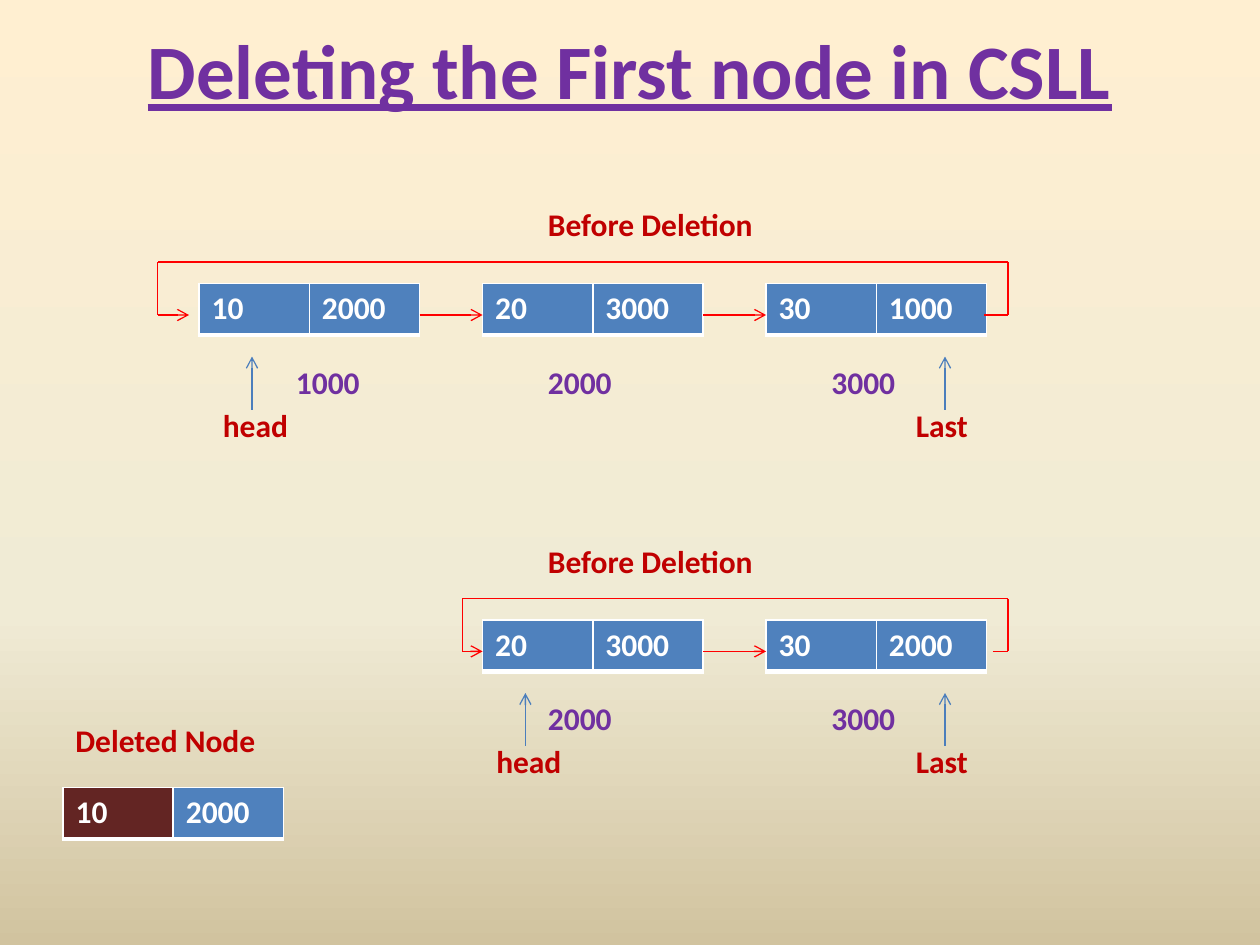
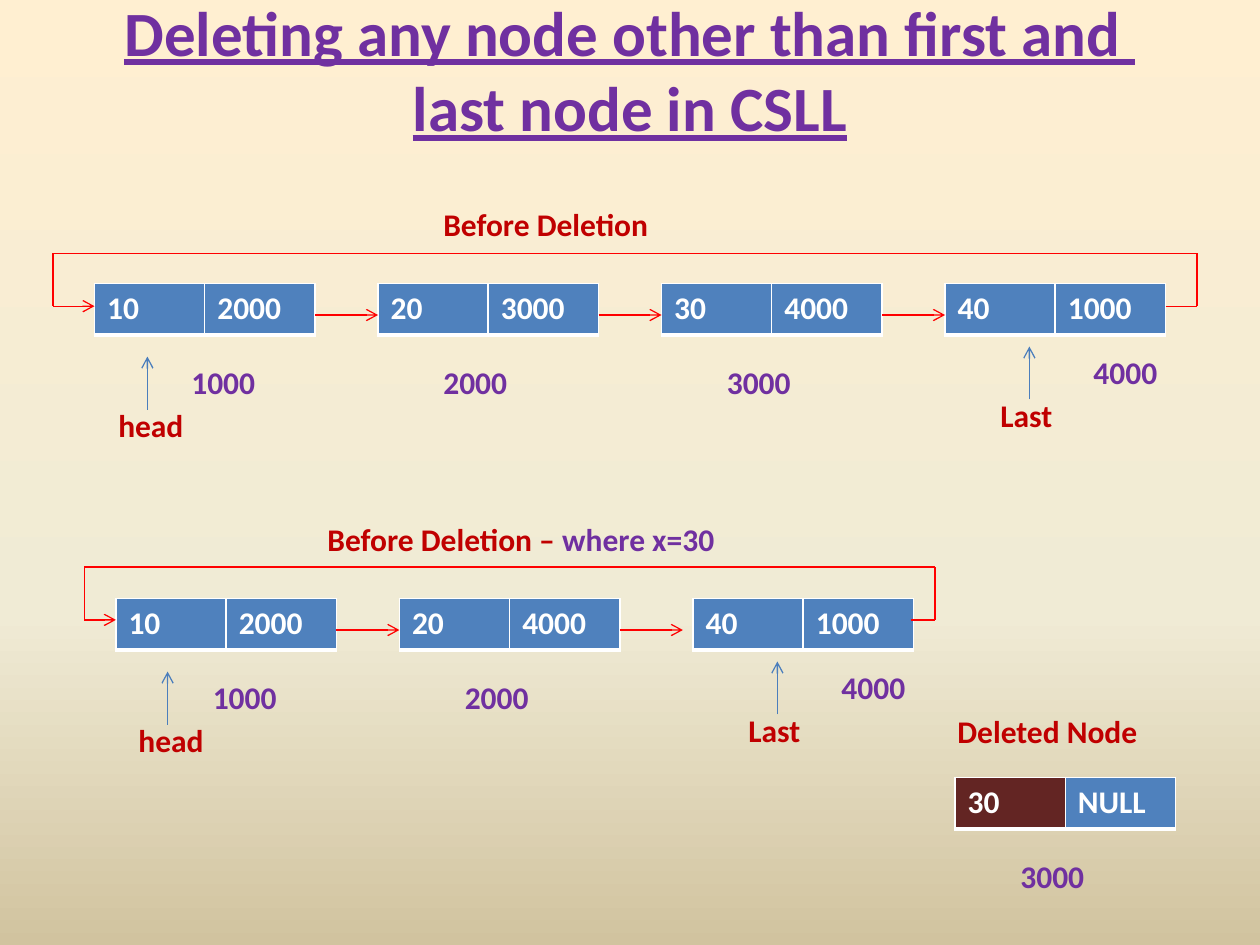
from lxml import etree
from pptx import Presentation
from pptx.dml.color import RGBColor
from pptx.enum import text
from pptx.oxml import ns
from pptx.util import Inches, Pt

FONT = "Calibri"
PURPLE, CRIMSON, WHITE = "7030A0", "C00000", "FFFFFF"
NODE_BLUE, DELETED_BROWN = "4F81BD", "632523"
LINK_RED, POINTER_BLUE = "FF0000", "4B7EBC"
BACKGROUND_STOPS = [(0, "FFEFD1"), (65, "F0EBD5"), (100, "D1C39F")]

NODE_WIDTH, NODE_HEIGHT = 1.75, 0.41
LINK_DROP, LINK_LENGTH = 0.25, 0.5
POINTER_LENGTH = LOOP_DROP = 0.42
LABEL_WIDTH, LABEL_HEIGHT = 0.92, 0.4

# node: left, data, next, address, address offset (right, down)
# pointer: name, x, arrow tip below the node top
# loop: left, top, right, arrow end, line start
SLIDES = [
    {
        "title": "Deleting the First node in CSLL",
        "title_size": 44,
        "lists": [
            {
                "caption": [("Before Deletion", CRIMSON)],
                "caption_at": (4.25, 1.58, 2.25),
                "top": 2.25,
                "nodes": [(1.58, "10", "2000", "1000", (0.67, 0.58)),
                          (3.83, "20", "3000", "2000", (0.42, 0.58)),
                          (6.08, "30", "1000", "3000", (0.42, 0.58))],
                "pointers": [("head", 2, 0.58), ("Last", 7.5, 0.58)],
                "loop": (1.25, 2.08, 8, 1.5, 7.81),
            },
            {
                "caption": [("Before Deletion", CRIMSON)],
                "caption_at": (4.25, 4.25, 2.25),
                "top": 4.92,
                "nodes": [(3.83, "20", "3000", "2000", (0.42, 0.58)),
                          (6.08, "30", "2000", "3000", (0.42, 0.58))],
                "pointers": [("head", 4.17, 0.58), ("Last", 7.5, 0.58)],
                "loop": (3.67, 4.75, 8, 3.83, 7.88),
            },
        ],
        "deleted": {"caption_at": (0.5, 5.67, 2.25), "top": 6.25,
                    "node": (0.5, "10", "2000", None, None)},
    },
    {
        "title": "Deleting any node other than first and \vlast node in CSLL",
        "title_size": 36,
        "lists": [
            {
                "caption": [("Before Deletion", CRIMSON)],
                "caption_at": (3.42, 1.58, 2.25),
                "top": 2.25,
                "nodes": [(0.75, "10", "2000", "1000", (0.67, 0.58)),
                          (3, "20", "3000", "2000", (0.42, 0.58)),
                          (5.25, "30", "4000", "3000", (0.42, 0.58)),
                          (7.5, "40", "1000", "4000", (1.08, 0.5))],
                "pointers": [("head", 1.17, 0.58), ("Last", 8.17, 0.5)],
                "loop": (0.42, 2.01, 9.5, 0.75, 9.25),
            },
            {
                "caption": [("Before Deletion – ", CRIMSON), ("where x=30", PURPLE)],
                "caption_at": (2.5, 4.08, 4.42),
                "top": 4.75,
                "nodes": [(0.92, "10", "2000", "1000", (0.67, 0.58)),
                          (3.17, "20", "4000", "2000", (0.42, 0.58)),
                          (5.5, "40", "1000", "4000", (1.08, 0.5))],
                "pointers": [("head", 1.33, 0.58), ("Last", 6.17, 0.5)],
                "loop": (0.67, 4.5, 7.42, 0.92, 7.23),
            },
        ],
        "deleted": {"caption_at": (7.5, 5.6, 2.25), "top": 6.17,
                    "node": (7.58, "30", "NULL", "3000", (0.42, 0.58))},
    },
]


def rgb(value):
    return RGBColor.from_string(value)


def add_element(parent, tag, **attributes):
    return etree.SubElement(parent, ns.qn(tag), attributes)


def set_background(slide):
    """Fill the slide with the shared vertical gradient."""
    fill = slide.background.fill
    fill.gradient()
    fill.gradient_angle = 270
    stops = slide.background._cSld.find(".//" + ns.qn("a:gsLst"))
    for stop in list(stops):
        stops.remove(stop)
    for position, color in BACKGROUND_STOPS:
        stop = add_element(stops, "a:gs", pos=str(position * 1000))
        add_element(stop, "a:srgbClr", val=color)


def format_font(font, color, size=18, **extra):
    values = {"name": FONT, "size": Pt(size), "bold": True, **extra}
    for name, value in values.items():
        setattr(font, name, value)
    font.color.rgb = rgb(color)


def add_label(slide, left, top, width, runs):
    shape = slide.shapes.add_textbox(
        Inches(left), Inches(top), Inches(width), Inches(LABEL_HEIGHT))
    frame = shape.text_frame
    frame.word_wrap = True
    frame.auto_size = text.MSO_AUTO_SIZE.SHAPE_TO_FIT_TEXT
    for content, color in runs:
        run = frame.paragraphs[0].add_run()
        run.text = content
        format_font(run.font, color)


def add_title(slide, title, size):
    shape = slide.shapes.add_textbox(
        Inches(0.5), Inches(-0.08), Inches(9), Inches(1.25))
    frame = shape.text_frame
    frame.word_wrap = True
    frame.vertical_anchor = text.MSO_ANCHOR.MIDDLE
    paragraph = frame.paragraphs[0]
    paragraph.text = title
    paragraph.alignment = text.PP_ALIGN.CENTER
    for run in paragraph.runs:
        format_font(run.font, PURPLE, size, underline=True)


def add_line(shapes, start, end, color=LINK_RED, arrow=False):
    connector = shapes.add_connector(1, *map(Inches, (*start, *end)))
    connector.line.color.rgb = rgb(color)
    connector.line.width = Pt(0.75)
    if arrow:
        add_element(connector.line._get_or_add_ln(), "a:tailEnd", type="arrow")
    add_element(connector._element.spPr, "a:effectLst")


def add_borders(cell):
    properties = cell._tc.get_or_add_tcPr()
    for side, width in (("L", 1), ("R", 1), ("T", 1), ("B", 3)):
        line = add_element(properties, "a:ln" + side, w=str(Pt(width)))
        add_element(add_element(line, "a:solidFill"), "a:srgbClr", val=WHITE)


def add_node(slide, top, node, data_color=NODE_BLUE):
    left, data, next_address, address, offset = node
    table = slide.shapes.add_table(
        1, 2, Inches(left), Inches(top), Inches(NODE_WIDTH), Inches(NODE_HEIGHT)).table
    table.first_row = table.horz_banding = False
    fields = ((data, data_color), (next_address, NODE_BLUE))
    for cell, (content, color) in zip(table.iter_cells(), fields):
        add_borders(cell)
        cell.fill.solid()
        cell.fill.fore_color.rgb = rgb(color)
        cell.text = content
        format_font(cell.text_frame.paragraphs[0].runs[0].font, WHITE)
    if address:
        right, down = offset
        add_label(slide, left + right, top + down, LABEL_WIDTH, [(address, PURPLE)])


def add_pointer(slide, top, name, x, drop):
    tip = top + drop
    add_line(slide.shapes, (x, tip + POINTER_LENGTH), (x, tip), POINTER_BLUE, arrow=True)
    add_label(slide, x - 0.33, tip + 0.34, LABEL_WIDTH, [(name, CRIMSON)])


def add_loop(slide, left, top, right, arrow_end, line_start):
    """Draw the link from the last node back to the first."""
    shapes = slide.shapes.add_group_shape().shapes
    bottom = top + LOOP_DROP
    corners = [(line_start, bottom), (right, bottom), (right, top),
               (left, top), (left, bottom), (arrow_end, bottom)]
    for start, end in zip(corners, corners[1:]):
        add_line(shapes, start, end, arrow=end == corners[-1])


def add_linked_list(slide, linked_list):
    top, nodes = linked_list["top"], linked_list["nodes"]
    add_label(slide, *linked_list["caption_at"], linked_list["caption"])
    for node in nodes:
        add_node(slide, top, node)
    for node in nodes[:-1]:
        x, y = node[0] + NODE_WIDTH, top + LINK_DROP
        add_line(slide.shapes, (x, y), (x + LINK_LENGTH, y), arrow=True)
    for pointer in linked_list["pointers"]:
        add_pointer(slide, top, *pointer)
    add_loop(slide, *linked_list["loop"])


def main():
    presentation = Presentation()
    presentation.slide_width, presentation.slide_height = Inches(10), Inches(7.5)
    for content in SLIDES:
        slide = presentation.slides.add_slide(presentation.slide_layouts[6])
        set_background(slide)
        add_title(slide, content["title"], content["title_size"])
        for linked_list in content["lists"]:
            add_linked_list(slide, linked_list)
        deleted = content["deleted"]
        add_label(slide, *deleted["caption_at"], [("Deleted Node", CRIMSON)])
        add_node(slide, deleted["top"], deleted["node"], DELETED_BROWN)
    presentation.save("out.pptx")


if __name__ == "__main__":
    main()
